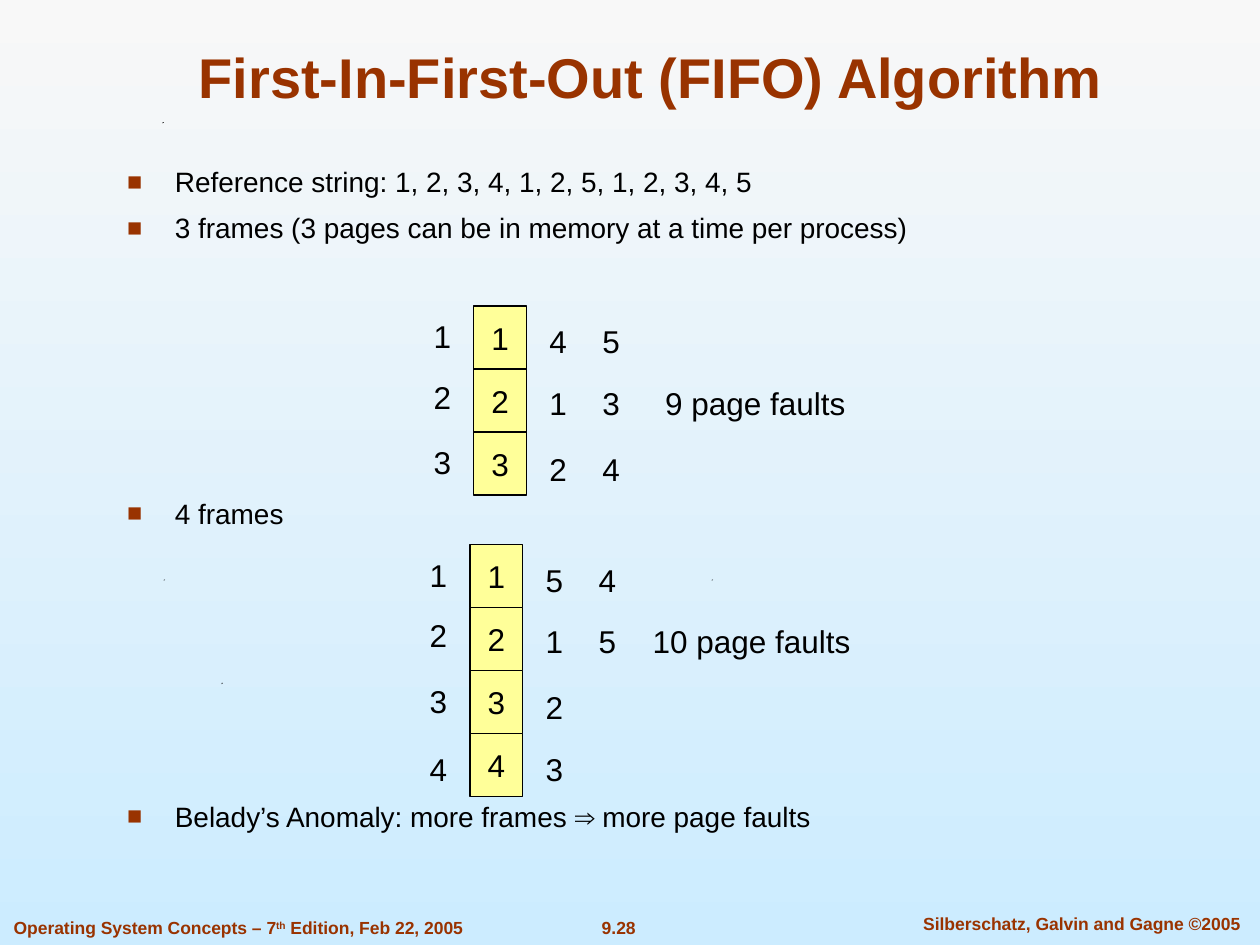
from lxml import etree
from pptx import Presentation
from pptx.dml.color import RGBColor
from pptx.enum.shapes import MSO_SHAPE
from pptx.enum.text import MSO_ANCHOR, PP_ALIGN
from pptx.oxml.ns import qn
from pptx.util import Inches, Pt

RECTANGLE = MSO_SHAPE.RECTANGLE
LEFT, CENTER = PP_ALIGN.LEFT, PP_ALIGN.CENTER
TOP, MIDDLE, BOTTOM = MSO_ANCHOR.TOP, MSO_ANCHOR.MIDDLE, MSO_ANCHOR.BOTTOM
COLORS = {"rust": "993300", "black": "000000", "cell": "FFFF99",
          "sky_top": "F8F8F8", "sky_bottom": "CCECFF"}


def color(name):
    return RGBColor.from_string(COLORS[name])


def write(box, texts, size, ink, bold=False, align=CENTER, anchor=MIDDLE, wrap=False):
    """Fill the first paragraph of a box, one run per text."""
    frame = box.text_frame
    frame.word_wrap = wrap
    frame.vertical_anchor = anchor
    para = frame.paragraphs[0]
    para.alignment = align
    for text in texts:
        span = para.add_run()
        span.text = text
        span.font.name = "Arial"
        span.font.size = Pt(size)
        span.font.bold = bold
        span.font.color.rgb = color(ink)
    return para


deck = Presentation()
deck.slide_width, deck.slide_height = Inches(10), Inches(7.5)
page = deck.slides.add_slide(deck.slide_layouts[6])
shapes = page.shapes

# Background
sky = page.background.fill
sky.gradient()
sky.gradient_angle = 270
for stop, name, position in zip(sky.gradient_stops, ("sky_top", "sky_bottom"), (0, 1)):
    stop.color.rgb = color(name)
    stop.position = position

# Tiny background specks
for x, y in [(1.76, 5.42), (1.3, 4.6), (5.65, 4.6), (1.29, 0.97)]:
    outline = shapes.build_freeform(Inches(x), Inches(y + 0.01))
    outline.add_line_segments([(Inches(x + 0.01), Inches(y)),
                               (Inches(x), Inches(y))], close=True)
    speck = outline.convert_to_shape()
    speck.shadow.inherit = False
    speck.fill.solid()
    speck.fill.fore_color.rgb = color("black")
    speck.line.fill.background()

# Footer
box = shapes.add_textbox(Inches(4.42), Inches(7.23), Inches(0.98), Inches(0.27))
write(box, ["9.28"], 10, "rust", bold=True, anchor=TOP)
box = shapes.add_textbox(Inches(7.1), Inches(7.2), Inches(2.97), Inches(0.27))
write(box, ["Silberschatz, Galvin and Gagne ©2005"], 10, "rust", bold=True,
      anchor=TOP, wrap=True)
box = shapes.add_textbox(Inches(0.01), Inches(7.23), Inches(4), Inches(0.27))
para = write(box, ["Operating System Concepts – 7", "th", " Edition, Feb 22, 2005"],
             10, "rust", bold=True, align=LEFT, anchor=TOP, wrap=True)
para.runs[1].font._element.set("baseline", "30000")

# Title
box = shapes.add_textbox(Inches(0.75), Inches(0.25), Inches(8.83), Inches(0.67))
write(box, ["First-In-First-Out (FIFO) Algorithm"], 32, "rust", bold=True,
      anchor=BOTTOM, wrap=True)

# Bullets, with space before that leaves room for the frame diagrams
BULLETS = [
    ("Reference string: 1, 2, 3, 4, 1, 2, 5, 1, 2, 3, 4, 5", 0),
    ("3 frames (3 pages can be in memory at a time per process)", 7),
    ("4 frames", 144),
    ("Belady’s Anomaly: more frames ⇒ more page faults", 154),
]
box = shapes.add_textbox(Inches(0.91), Inches(1.26), Inches(7.69), Inches(6.3))
frame = box.text_frame
frame.word_wrap = True
for index, (text, space) in enumerate(BULLETS):
    para = frame.add_paragraph() if index else frame.paragraphs[0]
    para.space_before = Pt(space)
    span = para.add_run()
    span.text = text
    span.font.name = "Arial"
    span.font.size = Pt(16)
    span.font.color.rgb = color("black")
    props = para._p.get_or_add_pPr()
    props.set("marL", str(Inches(0.38)))
    props.set("indent", str(-Inches(0.38)))
    ink = etree.SubElement(props, qn("a:buClr"))
    etree.SubElement(ink, qn("a:srgbClr"), val=COLORS["rust"])
    etree.SubElement(props, qn("a:buSzPct"), val="90000")
    etree.SubElement(props, qn("a:buFont"), typeface="Arial")
    etree.SubElement(props, qn("a:buChar"), char="■")

# Frame diagrams: framed pages, frame numbers, then the pages that replace them
CELL_WIDTH, CELL_HEIGHT = 0.42, 0.5
LABEL_DROPS = (0.04, 0.52, 1.04, 1.58)
PAGE_DROPS = (0.08, 0.57, 1.09, 1.58)
DIAGRAMS = [
    # left, top, frames, replacement columns, fault text, its left and width
    (3.76, 2.43, "123", ("412", "534"), "9 page faults", 5.18, 1.63),
    (3.73, 4.32, "1234", ("5123", "45"), "10 page faults", 5.08, 1.77),
]
for left, top, frames, replacements, faults, faults_left, faults_width in DIAGRAMS:
    for row, number in enumerate(frames):
        cell = shapes.add_shape(RECTANGLE, Inches(left), Inches(top + row * CELL_HEIGHT),
                                Inches(CELL_WIDTH), Inches(CELL_HEIGHT))
        cell.shadow.inherit = False
        cell.fill.solid()
        cell.fill.fore_color.rgb = color("cell")
        cell.line.color.rgb = color("black")
        cell.line.width = Pt(0.75)
        write(cell, [number], 18, "black")

    columns = [(-0.42, frames, LABEL_DROPS),
               (0.5, replacements[0], PAGE_DROPS),
               (0.92, replacements[1], PAGE_DROPS)]
    for shift, numbers, drops in columns:
        for number, drop in zip(numbers, drops):
            box = shapes.add_textbox(Inches(left + shift), Inches(top + drop),
                                     Inches(0.34), Inches(0.4))
            write(box, [number], 18, "black")

    box = shapes.add_textbox(Inches(faults_left), Inches(top + PAGE_DROPS[1]),
                             Inches(faults_width), Inches(0.4))
    write(box, [faults], 18, "black")

deck.save("out.pptx")
